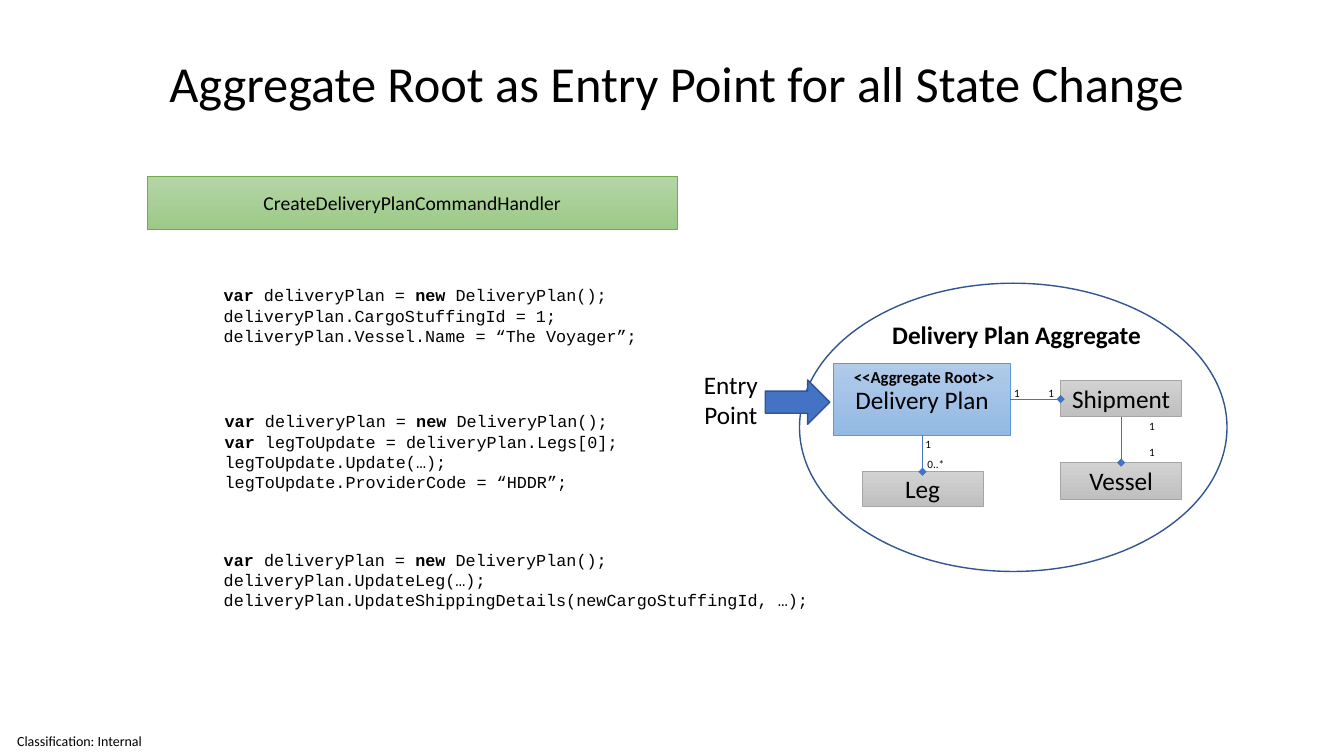
from typing import NamedTuple

from lxml import etree
from pptx import Presentation
from pptx import util as u
from pptx.dml.color import RGBColor
from pptx.enum import shapes, text
from pptx.oxml import ns

BLACK = RGBColor(0x00, 0x00, 0x00)
BLUE = RGBColor(0x44, 0x72, 0xC4)
NAVY = RGBColor(0x32, 0x54, 0x91)
GREEN = (RGBColor(0xB5, 0xD5, 0xA7), RGBColor(0x9C, 0xC9, 0x87), RGBColor(0x70, 0xAD, 0x47))
SKY = (RGBColor(0xB1, 0xCB, 0xE9), RGBColor(0x93, 0xB9, 0xE4), RGBColor(0x5B, 0x9B, 0xD5))
GRAY = (RGBColor(0xD2, 0xD2, 0xD2), RGBColor(0xC0, 0xC0, 0xC0), RGBColor(0xA5, 0xA5, 0xA5))
SANS, MONO = "Calibri", "Courier New"
KIND = shapes.MSO_SHAPE
LEFT, MID = text.PP_ALIGN.LEFT, text.PP_ALIGN.CENTER


class Area(NamedTuple):
    left: float
    top: float
    width: float
    height: float


class Box(NamedTuple):
    area: Area
    name: str
    tones: tuple[RGBColor, RGBColor, RGBColor]
    size: int = 18


class Label(NamedTuple):
    area: Area
    lines: list[str]
    size: int
    font: str = SANS
    align: text.PP_ALIGN = LEFT
    wrap: bool = False


class Link(NamedTuple):
    x1: float
    y1: float
    x2: float
    y2: float


NEW_PLAN = "|var |deliveryPlan = |new |DeliveryPlan();"
CODES = [
    Label(Area(2.12, 5.4, 6.25, 0.91),
          [NEW_PLAN, "deliveryPlan.UpdateLeg(…);",
           "deliveryPlan.UpdateShippingDetails(newCargoStuffingId, …);"], 12, MONO, wrap=True),
    Label(Area(2.12, 2.78, 4.37, 0.91),
          [NEW_PLAN, "deliveryPlan.CargoStuffingId = 1;",
           "deliveryPlan.Vessel.Name = “The Voyager”;"], 12, MONO, wrap=True),
    Label(Area(2.13, 4.03, 4.17, 0.91),
          [NEW_PLAN, "|var |legToUpdate = deliveryPlan.Legs[0];",
           "legToUpdate.Update(…);", "legToUpdate.ProviderCode = “HDDR”;"], 12, MONO, wrap=True),
]
BOXES = [
    Box(Area(1.46, 1.75, 5.26, 0.53), "CreateDeliveryPlanCommandHandler", GREEN, 14),
    Box(Area(8.27, 3.6, 1.75, 0.72), "Delivery Plan", SKY),
    Box(Area(10.52, 3.77, 1.2, 0.36), "Shipment", GRAY),
    Box(Area(10.52, 4.59, 1.2, 0.36), "Vessel", GRAY),
    Box(Area(8.55, 4.68, 1.2, 0.34), "Leg", GRAY),
]
LINKS = [Link(9.15, 4.32, 9.15, 4.68), Link(10.02, 3.96, 10.52, 3.96),
         Link(11.12, 4.14, 11.12, 4.59)]
ONES = [(9.08, 4.29), (9.96, 3.78), (10.3, 3.78), (11.3, 4.11), (11.3, 4.37)]
COUNTS = [Label(Area(x, y, 0.26, 0.24), ["1"], 8) for x, y in ONES]
COUNTS.append(Label(Area(9.1, 4.49, 0.37, 0.24), ["0..*"], 8))
HEADS = [
    Label(Area(8.37, 3.59, 1.61, 0.3), ["|<<Aggregate Root>>"], 12),
    Label(Area(8.75, 3.12, 2.69, 0.4), ["|Delivery Plan Aggregate"], 18),
    Label(Area(6.88, 3.61, 0.74, 0.71), ["Entry", "Point"], 18, align=MID),
]


def scale(area: Area) -> list[u.Length]:
    return [u.Inches(side) for side in area]


def write(frame, lines: list[str], size: int, font: str = SANS, align=LEFT) -> None:
    """Fill a text frame; each bar in a line switches bold on or off."""
    for row, line in enumerate(lines):
        para = frame.add_paragraph() if row else frame.paragraphs[0]
        para.alignment = align
        for turn, part in enumerate(line.split("|")):
            if part:
                run = para.add_run()
                run.text = part
                run.font.name = font
                run.font.size = u.Pt(size)
                run.font.bold = turn % 2 == 1
                run.font.color.rgb = BLACK


def add_shape(slide, kind: KIND, area: Area, edge: RGBColor, width: float):
    shape = slide.shapes.add_shape(kind, *scale(area))
    shape.shadow.inherit = False
    shape.line.color.rgb = edge
    shape.line.width = u.Pt(width)
    return shape


def add_box(slide, box: Box) -> None:
    *tones, edge = box.tones
    shape = add_shape(slide, KIND.RECTANGLE, box.area, edge, 0.5)
    shape.fill.gradient()
    shape.fill.gradient_angle = 270
    for place, (stop, tone) in enumerate(zip(shape.fill.gradient_stops, tones)):
        stop.position = place
        stop.color.rgb = tone
    shape.text_frame.vertical_anchor = text.MSO_ANCHOR.MIDDLE
    write(shape.text_frame, [box.name], box.size, align=MID)


def add_label(slide, label: Label):
    frame = slide.shapes.add_textbox(*scale(label.area)).text_frame
    frame.word_wrap = label.wrap
    frame.auto_size = text.MSO_AUTO_SIZE.SHAPE_TO_FIT_TEXT
    write(frame, label.lines, label.size, label.font, label.align)
    return frame


def add_link(slide, link: Link) -> None:
    ends = [u.Inches(end) for end in link]
    line = slide.shapes.add_connector(shapes.MSO_CONNECTOR.STRAIGHT, *ends)
    line.line.color.rgb = BLUE
    line.line.width = u.Pt(0.5)
    etree.SubElement(line.line._get_or_add_ln(), ns.qn("a:tailEnd"), type="diamond")
    etree.SubElement(line._element.spPr, ns.qn("a:effectLst"))


def add_title(slide) -> None:
    title = slide.shapes.title
    title.left, title.top, title.width, title.height = scale(Area(0.68, 0.56, 12.07, 0.62))
    frame = title.text_frame
    frame.auto_size = text.MSO_AUTO_SIZE.NONE
    frame.vertical_anchor = text.MSO_ANCHOR.BOTTOM
    write(frame, ["Aggregate Root as Entry Point for all State Change"], 36, align=MID)
    frame.paragraphs[0].line_spacing = 0.9


def add_footer(slide) -> None:
    label = Label(Area(0, 7.21, 1.57, 0.29), ["Classification: Internal"], 10, wrap=True)
    frame = add_label(slide, label)
    frame.auto_size = text.MSO_AUTO_SIZE.NONE
    frame.vertical_anchor = text.MSO_ANCHOR.MIDDLE
    frame.margin_left = u.Inches(0.17)
    frame.margin_right = frame.margin_top = frame.margin_bottom = 0


def main() -> None:
    deck = Presentation()
    deck.slide_width, deck.slide_height = u.Inches(13.33), u.Inches(7.5)
    slide = deck.slides.add_slide(deck.slide_layouts[5])
    add_title(slide)
    add_footer(slide)
    for box in BOXES:
        add_box(slide, box)
    for link in LINKS:
        add_link(slide, link)
    ring = add_shape(slide, KIND.OVAL, Area(7.93, 2.81, 4.24, 2.86), NAVY, 1)
    ring.fill.background()
    arrow = add_shape(slide, KIND.RIGHT_ARROW, Area(7.59, 3.77, 0.64, 0.44), NAVY, 1)
    arrow.fill.solid()
    arrow.fill.fore_color.rgb = BLUE
    for label in CODES + COUNTS + HEADS:
        add_label(slide, label)
    deck.save("out.pptx")


if __name__ == "__main__":
    main()
